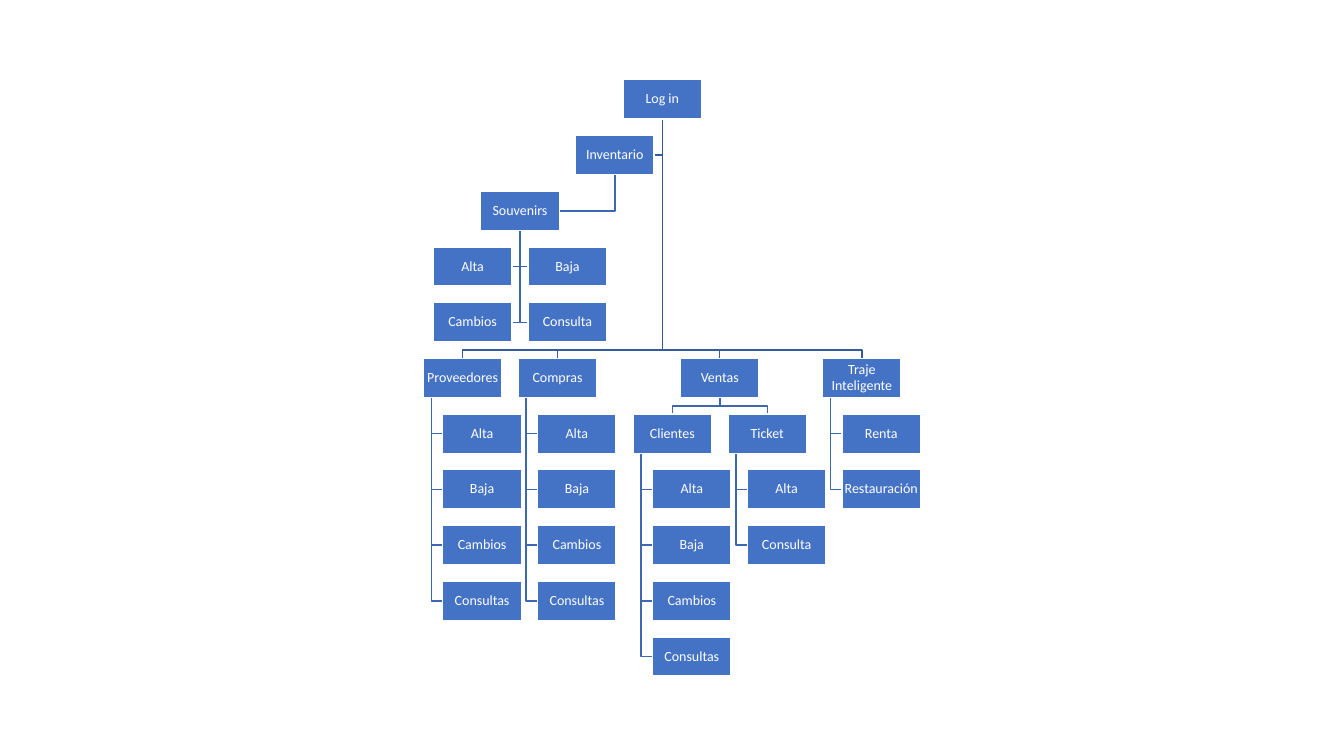
import dataclasses
import enum
import typing

import pptx
import pptx.dml.color
import pptx.enum.shapes
import pptx.enum.text
import pptx.util

BOX_WIDTH = 1.98
BOX_HEIGHT = 0.99
FIRST_TOP = 2.01
LAST_TOP = 16.05
ROW_PITCH = (LAST_TOP - FIRST_TOP) / 10
COLUMN_PITCH = 2.39
INDENT = 0.49
RAIL_INSET = 0.2
ROOT_LEFT = 15.7
ROOT_COLOR = "365B9D"
BRANCH_COLOR = "3E67B2"


class Link(enum.Enum):
    BUS = "bus"
    RAIL = "rail"
    SIDE = "side"


@dataclasses.dataclass
class Node:
    label: str
    left: float
    row: int
    link: Link = Link.BUS
    children: list["Node"] = dataclasses.field(default_factory=list)

    @property
    def top(self) -> float:
        return FIRST_TOP + self.row * ROW_PITCH

    @property
    def bottom(self) -> float:
        return self.top + BOX_HEIGHT

    @property
    def center(self) -> float:
        return self.left + BOX_WIDTH / 2

    @property
    def middle(self) -> float:
        return self.top + BOX_HEIGHT / 2


def color(value: str) -> pptx.dml.color.RGBColor:
    return pptx.dml.color.RGBColor.from_string(value)


def column(label: str, left: float, row: int, *items: str) -> Node:
    children = [
        Node(item, left + INDENT, row + step, Link.RAIL)
        for step, item in enumerate(items, start=1)
    ]
    return Node(label, left, row, children=children)


def build_tree() -> Node:
    souvenirs_left = ROOT_LEFT - 1.5 * COLUMN_PITCH
    actions = [
        Node(label, souvenirs_left + (index % 2 - 0.5) * COLUMN_PITCH,
             3 + index // 2, Link.SIDE)
        for index, label in enumerate(["Alta", "Baja", "Cambios", "Consulta"])
    ]
    souvenirs = Node("Souvenirs", souvenirs_left, 2, Link.SIDE, actions)
    inventory = Node("Inventario", ROOT_LEFT - COLUMN_PITCH / 2, 1, Link.SIDE, [souvenirs])
    sales_left = 17.15
    sales = Node("Ventas", sales_left, 5, children=[
        column("Clientes", sales_left - COLUMN_PITCH / 2, 6,
               "Alta", "Baja", "Cambios", "Consultas"),
        column("Ticket", sales_left + COLUMN_PITCH / 2, 6, "Alta", "Consulta"),
    ])
    suppliers_left = 10.67
    return Node("Log in", ROOT_LEFT, 0, children=[
        inventory,
        column("Proveedores", suppliers_left, 5, "Alta", "Baja", "Cambios", "Consultas"),
        column("Compras", suppliers_left + COLUMN_PITCH, 5,
               "Alta", "Baja", "Cambios", "Consultas"),
        sales,
        column("Traje Inteligente", 20.73, 5, "Renta", "Restauración"),
    ])


def route(parent: Node, child: Node) -> list[tuple[float, float]]:
    if child.link is Link.BUS:
        bend = child.top - (ROW_PITCH - BOX_HEIGHT) / 2
        return [(parent.center, parent.bottom), (parent.center, bend),
                (child.center, bend), (child.center, child.top)]
    if child.link is Link.RAIL:
        trunk, edge = parent.left + RAIL_INSET, child.left
    else:
        trunk = parent.center
        edge = child.left if child.center > trunk else child.left + BOX_WIDTH
    return [(trunk, parent.bottom), (trunk, child.middle), (edge, child.middle)]


def draw_link(page: typing.Any, points: list[tuple[float, float]], line_color: str) -> None:
    start, *rest = [(pptx.util.Cm(x), pptx.util.Cm(y)) for x, y in points]
    builder = page.shapes.build_freeform(*start)
    builder.add_line_segments(rest, close=False)
    elbow = builder.convert_to_shape()
    elbow.shadow.inherit = False
    elbow.fill.background()
    elbow.line.color.rgb = color(line_color)
    elbow.line.width = pptx.util.Pt(1)


def draw_links(page: typing.Any, parent: Node, line_color: str) -> None:
    for child in parent.children:
        draw_links(page, child, BRANCH_COLOR)
        draw_link(page, route(parent, child), line_color)


def write(frame: typing.Any, text: str, *, size: float, font: str, ink: str) -> None:
    frame.word_wrap = True
    frame.vertical_anchor = pptx.enum.text.MSO_ANCHOR.MIDDLE
    margin = pptx.util.Cm(0.02)
    frame.margin_left = frame.margin_right = margin
    frame.margin_top = frame.margin_bottom = margin
    para = frame.paragraphs[0]
    para.alignment = pptx.enum.text.PP_ALIGN.CENTER
    para.line_spacing = 0.9
    span = para.add_run()
    span.text = text
    span.font.size = pptx.util.Pt(size)
    span.font.name = font
    span.font.color.rgb = color(ink)


def draw_boxes(page: typing.Any, node: Node) -> None:
    box = page.shapes.add_shape(
        pptx.enum.shapes.MSO_SHAPE.RECTANGLE,
        pptx.util.Cm(node.left), pptx.util.Cm(node.top),
        pptx.util.Cm(BOX_WIDTH), pptx.util.Cm(BOX_HEIGHT),
    )
    box.shadow.inherit = False
    box.fill.solid()
    box.fill.fore_color.rgb = color("4472C4")
    box.line.color.rgb = color("FFFFFF")
    box.line.width = pptx.util.Pt(1)
    write(box.text_frame, node.label, size=10, font="Calibri", ink="FFFFFF")
    for child in node.children:
        draw_boxes(page, child)


def main() -> None:
    deck = pptx.Presentation()
    deck.slide_width = pptx.util.Cm(33.87)
    deck.slide_height = pptx.util.Cm(19.05)
    page = deck.slides.add_slide(deck.slide_layouts[6])
    tree = build_tree()
    draw_links(page, tree, ROOT_COLOR)
    draw_boxes(page, tree)
    deck.save("out.pptx")


if __name__ == "__main__":
    main()
